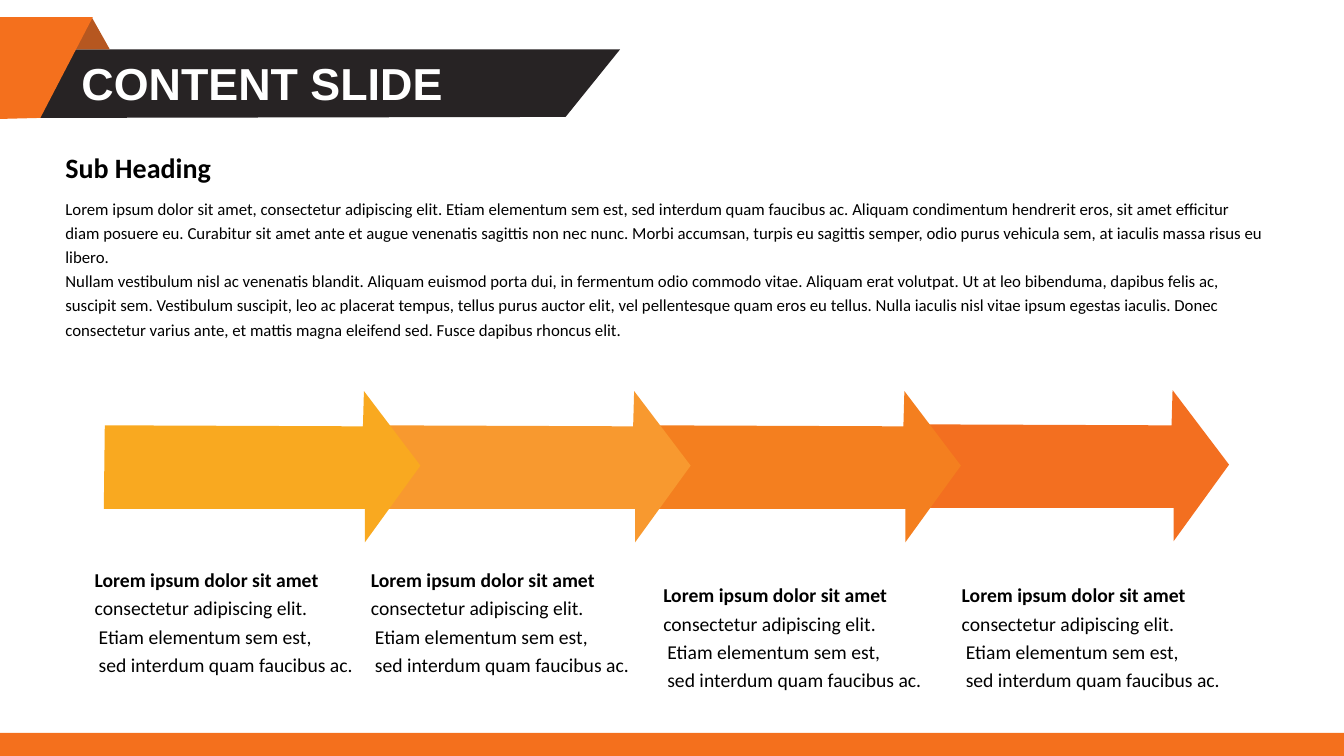
"""Build a content slide with a ribbon title and a four-step arrow process."""
from dataclasses import dataclass

from pptx import Presentation
from pptx.dml.color import RGBColor
from pptx.enum.shapes import MSO_SHAPE
from pptx.enum.text import MSO_ANCHOR, MSO_AUTO_SIZE
from pptx.shapes.autoshape import Shape
from pptx.slide import Slide
from pptx.text.text import _Paragraph as Paragraph
from pptx.util import Emu, Pt

EMU_PER_PX = 9144
SLIDE_WIDTH, SLIDE_HEIGHT = 1333, 750

WHITE = RGBColor(0xFF, 0xFF, 0xFF)
BLACK = RGBColor(0x00, 0x00, 0x00)
CHARCOAL = RGBColor(0x27, 0x23, 0x24)
BROWN = RGBColor(0xB6, 0x57, 0x20)
ORANGE = RGBColor(0xF4, 0x70, 0x1D)
AMBER = RGBColor(0xF9, 0xA9, 0x20)
APRICOT = RGBColor(0xF8, 0x99, 0x2F)
TANGERINE = RGBColor(0xF4, 0x7F, 0x1F)
DEEP_ORANGE = RGBColor(0xF3, 0x6F, 0x20)

Points = list[tuple[int, int]]

TITLE_BAND: Points = [(25, 49), (615, 49), (561, 116), (25, 117)]
RIBBON: Points = [(0, 17), (92, 17), (40, 117), (0, 118)]
ARROW: Points = [(1, 34), (257, 35), (258, 0), (314, 74), (259, 150), (259, 117), (0, 117)]

BODY = [
    "Lorem ipsum dolor sit amet, consectetur adipiscing elit. Etiam elementum sem est, "
    "sed interdum quam faucibus ac. Aliquam condimentum hendrerit eros, sit amet efficitur "
    "diam posuere eu. Curabitur sit amet ante et augue venenatis sagittis non nec nunc. "
    "Morbi accumsan, turpis eu sagittis semper, odio purus vehicula sem, at iaculis massa "
    "risus eu libero.",
    "Nullam vestibulum nisl ac venenatis blandit. Aliquam euismod porta dui, in fermentum "
    "odio commodo vitae. Aliquam erat volutpat. Ut at leo bibenduma, dapibus felis ac, "
    "suscipit sem. Vestibulum suscipit, leo ac placerat tempus, tellus purus auctor elit, "
    "vel pellentesque quam eros eu tellus. Nulla iaculis nisl vitae ipsum egestas iaculis. "
    "Donec consectetur varius ante, et mattis magna eleifend sed. Fusce dapibus rhoncus elit.",
]
CAPTION = [
    "Lorem ipsum dolor sit amet",
    "consectetur adipiscing elit.",
    "Etiam elementum sem est,",
    "sed interdum quam faucibus ac.",
]
CAPTION_INDENT = 4


@dataclass(frozen=True)
class Box:
    left: int
    top: int
    width: int
    height: int


@dataclass(frozen=True)
class TextStyle:
    size: int
    bold: bool = False
    color: RGBColor = BLACK
    font: str = "Calibri"
    line_spacing: float = 1.0


@dataclass(frozen=True)
class Step:
    arrow_left: int
    arrow_top: int
    color: RGBColor
    caption_left: int
    caption_top: int


STEPS = [
    Step(103, 388, AMBER, 84, 554),
    Step(371, 388, APRICOT, 358, 554),
    Step(639, 388, TANGERINE, 648, 569),
    Step(905, 387, DEEP_ORANGE, 944, 569),
]


def px(length: int) -> Emu:
    """Convert px to EMU."""
    return Emu(length * EMU_PER_PX)


def paint(shape: Shape, color: RGBColor) -> None:
    """Give a shape a flat fill without outline or shadow."""
    shape.fill.solid()
    shape.fill.fore_color.rgb = color
    shape.line.fill.background()
    shape.shadow.inherit = False


def add_outline(slide: Slide, points: Points, color: RGBColor) -> None:
    """Draw a closed polygon."""
    builder = slide.shapes.build_freeform(*points[0], scale=EMU_PER_PX)
    builder.add_line_segments(points[1:], close=True)
    paint(builder.convert_to_shape(), color)


def add_preset(slide: Slide, kind: MSO_SHAPE, box: Box, color: RGBColor) -> None:
    """Draw a filled preset shape."""
    shape = slide.shapes.add_shape(
        kind, px(box.left), px(box.top), px(box.width), px(box.height)
    )
    paint(shape, color)


def style_paragraph(paragraph: Paragraph, style: TextStyle) -> None:
    """Apply a text style to a whole paragraph."""
    paragraph.line_spacing = style.line_spacing
    paragraph.font.name = style.font
    paragraph.font.size = Pt(style.size)
    paragraph.font.bold = style.bold
    paragraph.font.color.rgb = style.color


def add_text(slide: Slide, box: Box, lines: list[str], style: TextStyle) -> Shape:
    """Add a wrapping text box with one paragraph per line."""
    shape = slide.shapes.add_textbox(
        px(box.left), px(box.top), px(box.width), px(box.height)
    )
    frame = shape.text_frame
    frame.word_wrap = True
    frame.auto_size = MSO_AUTO_SIZE.SHAPE_TO_FIT_TEXT
    frame.text = "\n".join(lines)
    for paragraph in frame.paragraphs:
        style_paragraph(paragraph, style)
    return shape


def add_header(slide: Slide) -> None:
    """Draw the ribbon, the title and the footer bar."""
    add_outline(slide, TITLE_BAND, CHARCOAL)
    add_preset(slide, MSO_SHAPE.ISOSCELES_TRIANGLE, Box(73, 17, 36, 32), BROWN)
    add_outline(slide, RIBBON, ORANGE)
    add_preset(slide, MSO_SHAPE.RECTANGLE, Box(0, 727, SLIDE_WIDTH, 23), ORANGE)
    style = TextStyle(32, bold=True, color=WHITE, font="Arial", line_spacing=0.9)
    title = add_text(slide, Box(71, 47, 441, 67), ["CONTENT SLIDE"], style)
    title.text_frame.auto_size = MSO_AUTO_SIZE.NONE
    title.text_frame.vertical_anchor = MSO_ANCHOR.BOTTOM


def add_caption(slide: Slide, step: Step) -> None:
    """Write the text below an arrow, with a bold first line."""
    box = Box(step.caption_left, step.caption_top, 285, 121)
    caption = add_text(slide, box, CAPTION, TextStyle(14, line_spacing=1.2))
    paragraphs = caption.text_frame.paragraphs
    paragraphs[0].font.bold = True
    for paragraph in paragraphs[2:]:
        paragraph._p.get_or_add_pPr().set("marL", str(px(CAPTION_INDENT)))


def main() -> None:
    """Build and save the presentation."""
    presentation = Presentation()
    presentation.slide_width = px(SLIDE_WIDTH)
    presentation.slide_height = px(SLIDE_HEIGHT)
    slide = presentation.slides.add_slide(presentation.slide_layouts[6])

    add_header(slide)
    heading = add_text(
        slide, Box(55, 144, 166, 44), ["Sub Heading"], TextStyle(20, bold=True)
    )
    heading.text_frame.word_wrap = False
    add_text(slide, Box(55, 188, 1212, 156), BODY, TextStyle(12, line_spacing=1.2))

    for step in reversed(STEPS):
        outline = [(step.arrow_left + x, step.arrow_top + y) for x, y in ARROW]
        add_outline(slide, outline, step.color)
    for step in STEPS:
        add_caption(slide, step)

    presentation.save("out.pptx")


if __name__ == "__main__":
    main()
